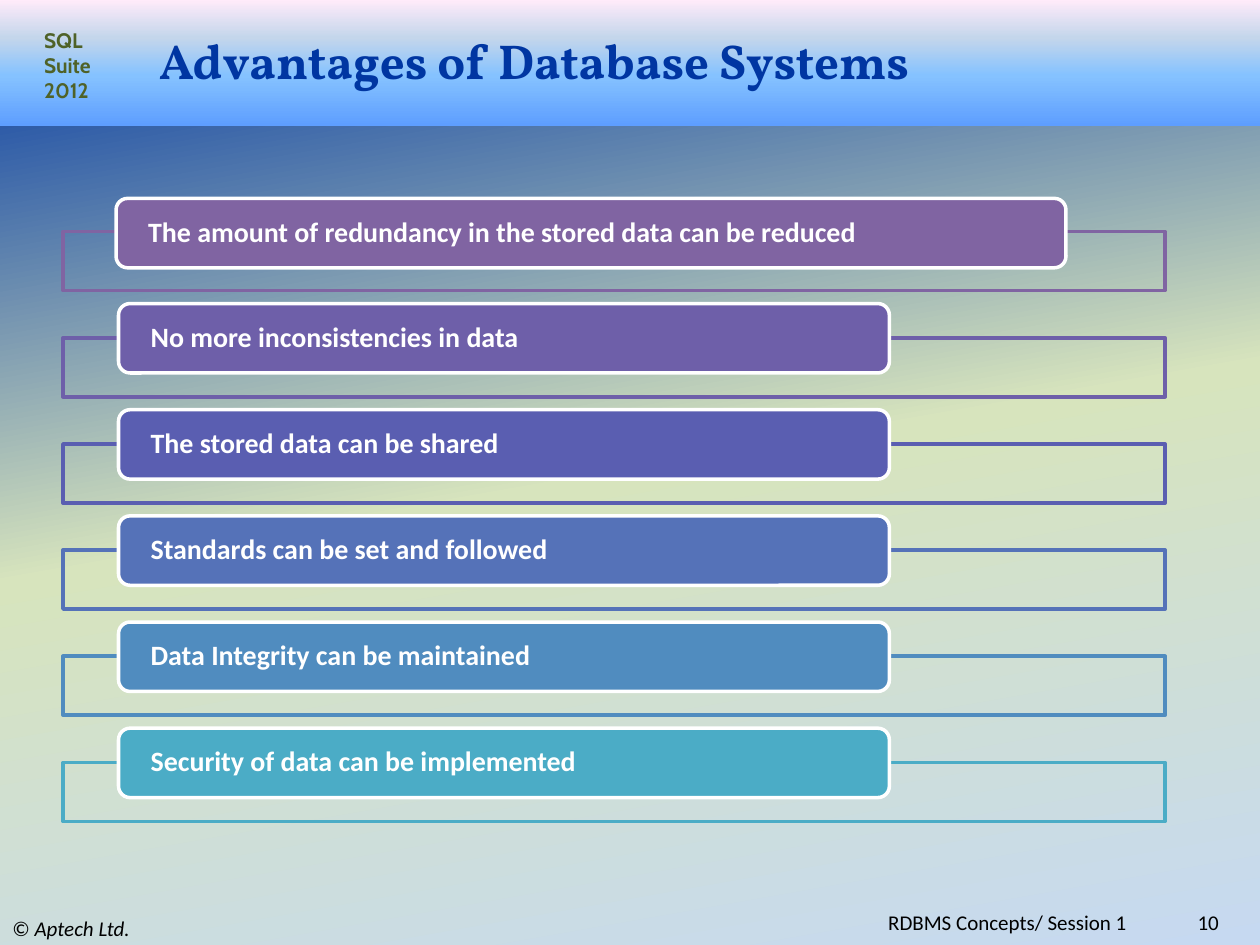
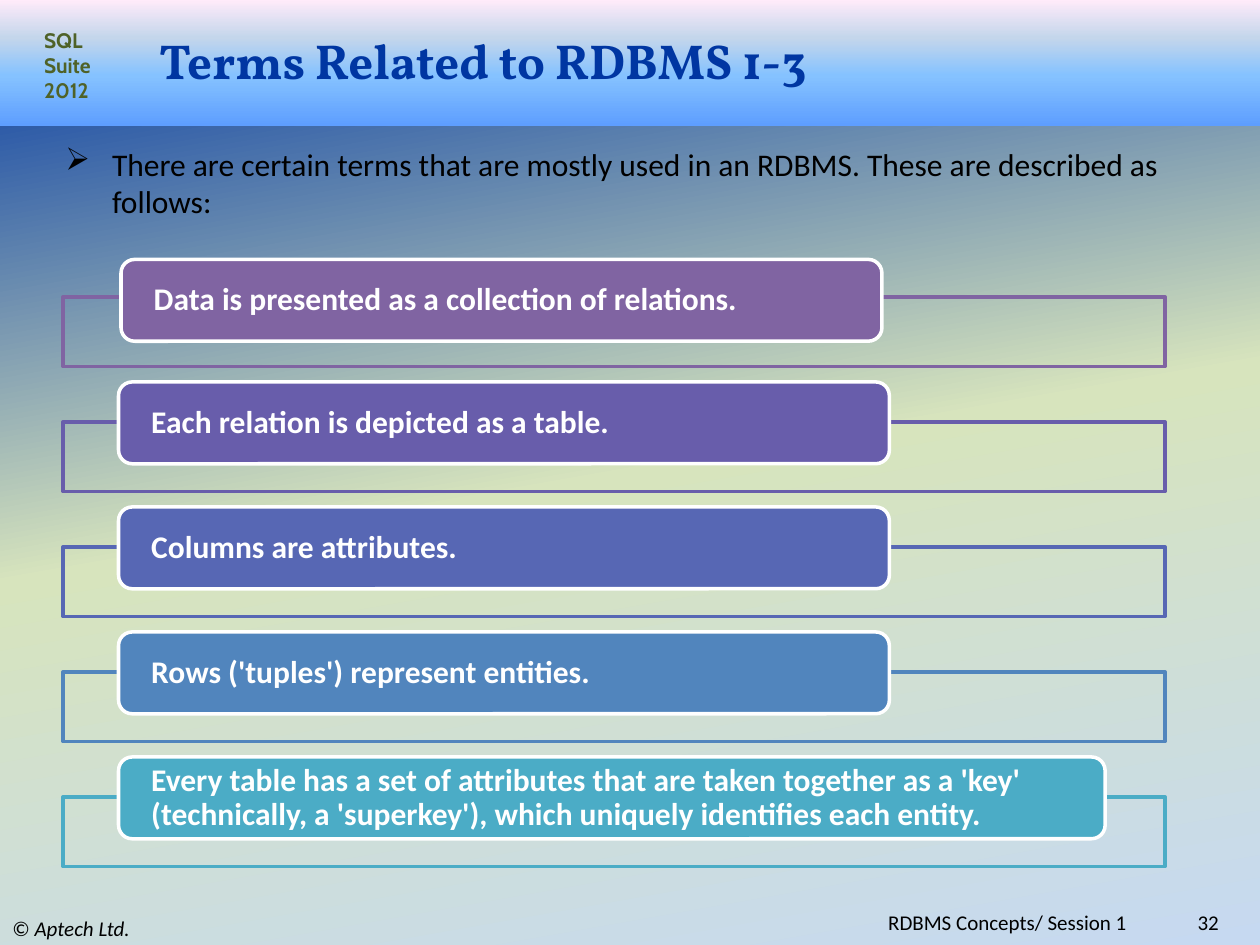
from lxml import etree
from pptx import Presentation
from pptx.dml.color import RGBColor
from pptx.enum.shapes import MSO_SHAPE
from pptx.enum.text import MSO_ANCHOR, PP_ALIGN
from pptx.oxml.ns import qn
from pptx.util import Cm, Pt

RECTANGLE = MSO_SHAPE.RECTANGLE
ROUNDED = MSO_SHAPE.ROUNDED_RECTANGLE
TOP = MSO_ANCHOR.TOP
MIDDLE = MSO_ANCHOR.MIDDLE
LEFT = PP_ALIGN.LEFT
RIGHT = PP_ALIGN.RIGHT

PAGE_WIDTH, PAGE_HEIGHT = 25.4, 19.05
BAND_HEIGHT = 2.54
PAGE_STOPS = [(0, "0036A2"), (50, "D7E4BD"), (100, "C6D9F1")]
BAND_STOPS = [(0, "5E9EFF"), (40, "85C2FF"), (70, "C4D6EB"), (100, "FFEBFA")]

TITLE = {"name": "Vollkorn", "size": Pt(28), "bold": True, "color": "0036A2"}
COURSE = {"name": "Cabin", "size": Pt(12), "bold": True, "color": "4F6228"}
FOOTER = {"name": "Calibri", "size": Pt(12), "color": "000000"}
BODY = {"name": "Calibri", "size": Pt(18), "color": "000000"}
LABEL = {"name": "Calibri", "bold": True, "color": "FFFFFF"}

REGULAR = (2.39, 15.54, 0)

ADVANTAGES = [
    ("The amount of redundancy in the stored data can be reduced", "8064A2", (2.34, 19.15, 0.02)),
    ("No more inconsistencies in data", "6E5FA9", REGULAR),
    ("The stored data can be shared", "5A5EB1", REGULAR),
    ("Standards can be set and followed", "5572B8", REGULAR),
    ("Data Integrity can be maintained", "508CBF", REGULAR),
    ("Security of data can be implemented", "4BACC6", REGULAR),
]
TERMS = [
    ("Data is presented as a collection of relations.", "8064A2", (2.44, 15.34, 0.05)),
    ("Each relation is depicted as a table.", "685DAB", REGULAR),
    ("Columns are attributes.", "5767B4", REGULAR),
    ("Rows ('tuples') represent entities.", "5185BD", REGULAR),
    ("Every table has a set of attributes that are taken together as a 'key' "
     "(technically, a 'superkey'), which uniquely identifies each entity.",
     "4BACC6", (2.39, 19.89, 0)),
]


def rgb(value):
    return RGBColor.from_string(value)


class Deck:
    def __init__(self):
        self.presentation = Presentation()
        self.presentation.slide_width = Cm(PAGE_WIDTH)
        self.presentation.slide_height = Cm(PAGE_HEIGHT)
        self.slide = None

    def gradient(self, fill, element, stops, angle):
        fill.gradient()
        fill.gradient_angle = 360 - angle
        stop_list = next(element.iter(qn("a:gsLst")))
        for stop in list(stop_list):
            stop_list.remove(stop)
        for position, value in stops:
            stop = etree.SubElement(stop_list, qn("a:gs"), pos=str(position * 1000))
            etree.SubElement(stop, qn("a:srgbClr"), val=value)

    def styled_run(self, paragraph, text, style):
        run = paragraph.add_run()
        run.text = text
        for attribute, value in style.items():
            if attribute == "color":
                run.font.color.rgb = rgb(value)
            else:
                setattr(run.font, attribute, value)

    def text(self, box, runs, anchor=MIDDLE, align=LEFT):
        area = self.slide.shapes.add_textbox(*map(Cm, box))
        frame = area.text_frame
        frame.word_wrap = True
        frame.vertical_anchor = anchor
        paragraph = frame.paragraphs[0]
        paragraph.alignment = align
        for text, style in runs:
            self.styled_run(paragraph, text, style)
        return paragraph

    def shape(self, kind, box, fill=None, line=None):
        outline = self.slide.shapes.add_shape(kind, *map(Cm, box))
        outline.shadow.inherit = False
        if fill:
            outline.fill.solid()
            outline.fill.fore_color.rgb = rgb(fill)
        else:
            outline.fill.background()
        if line:
            outline.line.color.rgb = rgb(line)
            outline.line.width = Pt(2)
        else:
            outline.line.fill.background()
        return outline

    def start(self, title, number):
        self.slide = self.presentation.slides.add_slide(self.presentation.slide_layouts[6])
        self.gradient(self.slide.background.fill, self.slide.element, PAGE_STOPS, 80)
        band = self.shape(RECTANGLE, (0, 0, PAGE_WIDTH, BAND_HEIGHT))
        self.gradient(band.fill, band.element, BAND_STOPS, 270)
        self.text((0, 18.36, 8.46, 0.69),
                  [("© ", FOOTER), ("Aptech Ltd.", {**FOOTER, "italic": True})])
        self.text((0.64, 0.43, 1.9, 1.8), [("SQL Suite 2012", COURSE)], TOP)
        self.text((22.66, 18.36, 2.16, 0.46), [(number, FOOTER)], align=RIGHT)
        self.text((6.35, 18.36, 16.71, 0.46), [("RDBMS Concepts/ Session 1 ", FOOTER)], align=RIGHT)
        self.text((2.96, 0.64, 21.17, 1.14), [(title, TITLE)])

    def bullet(self, box, text):
        paragraph = self.text(box, [(text, BODY)], TOP)
        properties = paragraph._p.get_or_add_pPr()
        indent = Cm(0.94)
        properties.set("marL", str(indent))
        properties.set("indent", str(-indent))
        etree.SubElement(properties, qn("a:buChar"), char="➢")

    def label_list(self, rows, top, pitch, frame_height, label_height, lift, size):
        for index, (text, color, (left, width, drop)) in enumerate(rows):
            frame_top = top + index * pitch
            self.shape(RECTANGLE, (1.27, frame_top, 22.22, frame_height), line=color)
            label = self.shape(ROUNDED, (left, frame_top - lift + drop, width, label_height),
                               color, "FFFFFF")
            layout = {"word_wrap": True, "vertical_anchor": MIDDLE,
                      "margin_left": Cm(0.58), "margin_right": Cm(0.58),
                      "margin_top": 0, "margin_bottom": 0}
            for attribute, value in layout.items():
                setattr(label.text_frame, attribute, value)
            paragraph = label.text_frame.paragraphs[0]
            paragraph.alignment = LEFT
            paragraph.line_spacing = 0.9
            self.styled_run(paragraph, text, {**LABEL, "size": Pt(size)})


def main():
    deck = Deck()

    deck.start("Advantages of Database Systems", "10")
    deck.label_list(ADVANTAGES, top=4.67, pitch=2.14, frame_height=1.19,
                    label_height=1.4, lift=0.69, size=16)

    deck.start("Terms Related to RDBMS 1-3", "32")
    deck.bullet((1.07, 2.79, 23.7, 1.8),
                "There are certain terms that are mostly used in an RDBMS. "
                "These are described as follows:")
    deck.label_list(TERMS, top=5.99, pitch=2.52, frame_height=1.4,
                    label_height=1.65, lift=0.81, size=18)

    deck.presentation.save("out.pptx")


if __name__ == "__main__":
    main()
